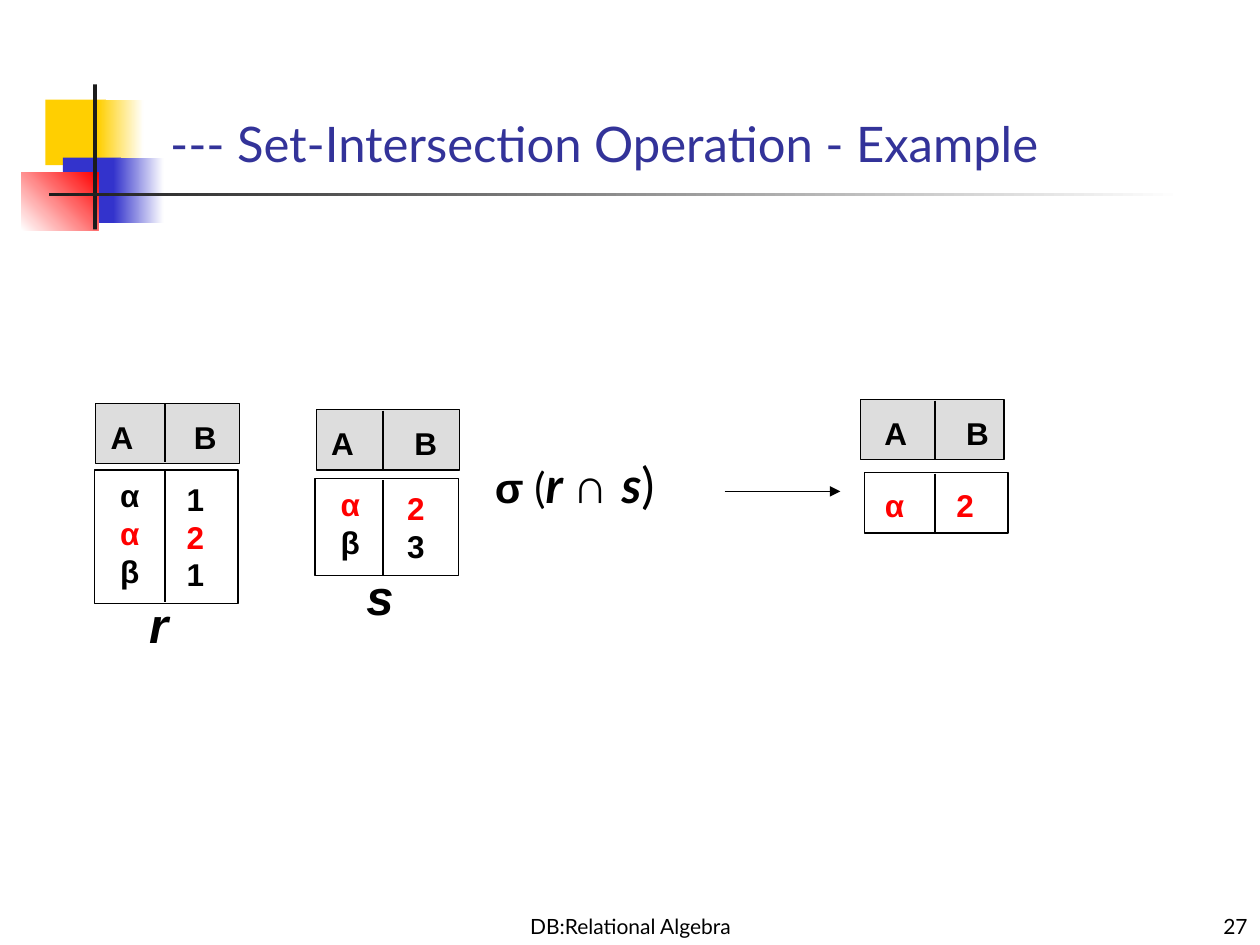
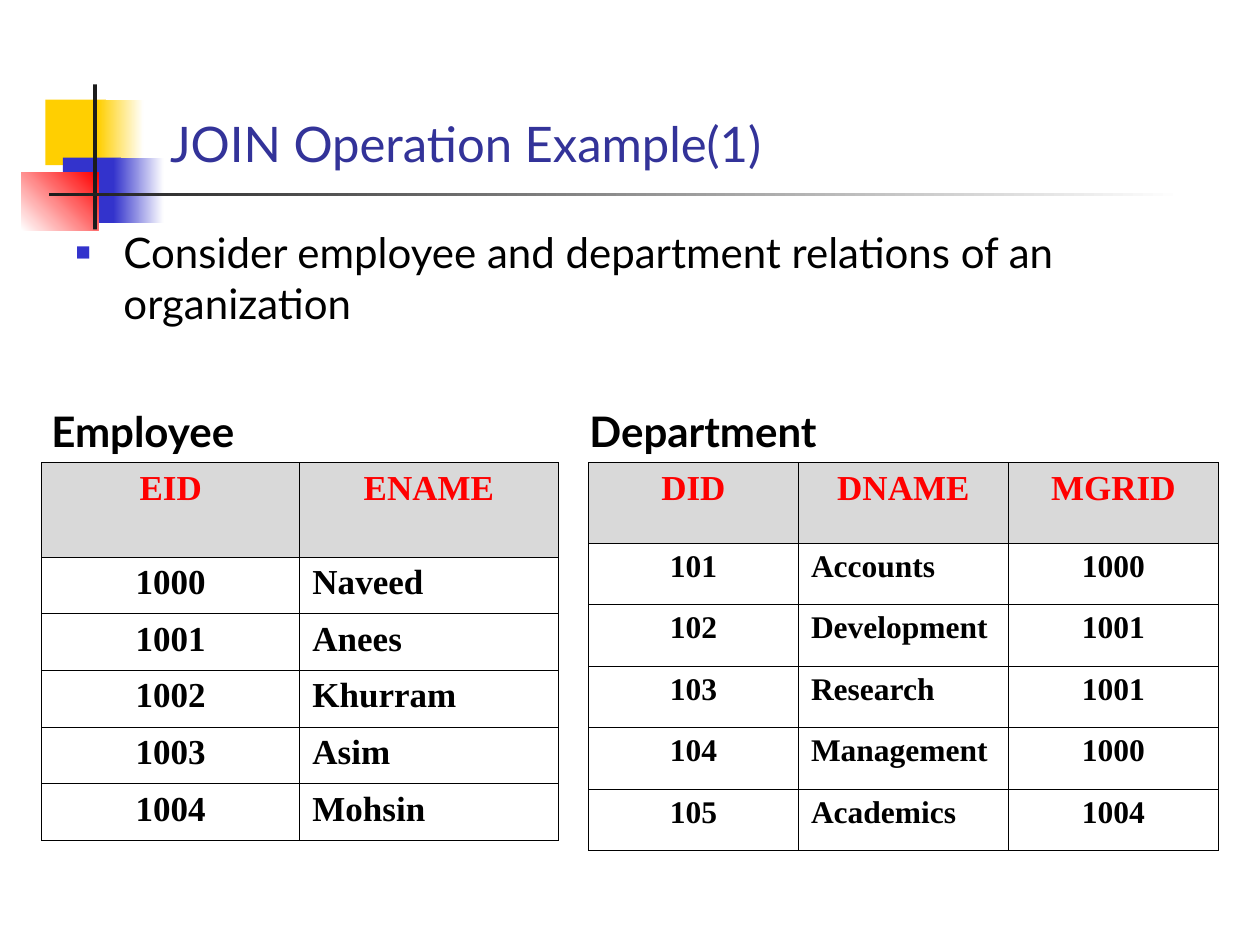
from dataclasses import dataclass

from lxml.etree import SubElement
from pptx import Presentation
from pptx.dml.color import RGBColor
from pptx.enum.shapes import MSO_CONNECTOR, MSO_SHAPE
from pptx.enum.text import MSO_ANCHOR, MSO_AUTO_SIZE, PP_ALIGN
from pptx.oxml.ns import qn
from pptx.util import Inches, Pt


@dataclass(frozen=True)
class Theme:
    white: str = "FFFFFF"
    black: str = "000000"
    ink: str = "1C1C1C"
    gold: str = "FFCF01"
    blue: str = "3333CC"
    red: str = "FF0000"
    title: str = "333399"
    label: str = "DDDDDD"
    head: str = "D9D9D9"
    sans: str = "Lato"
    math: str = "Arial"
    serif: str = "Times New Roman"
    big: int = 28
    body: int = 24
    cell: int = 20
    small: int = 18
    foot: int = 12
    rule: float = 0.75
    grid: float = 0.45


T = Theme()
CENTER = PP_ALIGN.CENTER


def rgb(code):
    return RGBColor.from_string(code)


def inch(*sizes):
    return [Inches(size) for size in sizes]


def style(font, face, size, color=T.black, bold=False, italic=False):
    font.name, font.size = face, Pt(size)
    font.bold, font.italic = bold, italic
    font.color.rgb = rgb(color)


def rect(slide, box, fill, edge=None):
    shape = slide.shapes.add_shape(MSO_SHAPE.RECTANGLE, *inch(*box))
    shape.shadow.inherit = False
    shape.fill.solid()
    shape.fill.fore_color.rgb = rgb(fill)
    if edge:
        shape.line.color.rgb = rgb(edge)
        shape.line.width = Pt(T.rule)
    else:
        shape.line.fill.background()
    return shape


def fade(slide, box, start, end, angle=0):
    """Add a rectangle filled with a two-colour gradient."""
    shape = rect(slide, box, start)
    shape.fill.gradient()
    shape.fill.gradient_angle = angle
    for stop, color in zip(shape.fill.gradient_stops, (start, end)):
        stop.color.rgb = rgb(color)
    return shape


def line(slide, start, end, arrow=False):
    link = slide.shapes.add_connector(
        MSO_CONNECTOR.STRAIGHT, *inch(*start, *end))
    link.line.color.rgb = rgb(T.black)
    link.line.width = Pt(T.rule)
    props = link.element.spPr
    if arrow:
        SubElement(props.find(qn("a:ln")), qn("a:tailEnd"), type="triangle")
    SubElement(props, qn("a:effectLst"))


def text(slide, box, rows, face, size, align=PP_ALIGN.LEFT,
         anchor=MSO_ANCHOR.TOP, wrap=False, **look):
    """Add a text box; each row is a string or a (string, colour) pair."""
    frame = slide.shapes.add_textbox(*inch(*box)).text_frame
    frame.word_wrap, frame.vertical_anchor = wrap, anchor
    for i, row in enumerate(rows):
        words, color = (row, T.black) if isinstance(row, str) else row
        para = frame.add_paragraph() if i else frame.paragraphs[0]
        para.text, para.alignment = words, align
        style(para.font, face, size, color, **look)


def brand(slide, master):
    """Build the corner squares and title rule, then move them to the master."""
    parts = [
        rect(slide, (0.36, 0.79, 0.48, 0.52), T.gold),
        fade(slide, (0.78, 0.79, 0.36, 0.52), T.gold, T.white),
        rect(slide, (0.5, 1.25, 0.46, 0.52), T.blue),
        fade(slide, (0.9, 1.25, 0.4, 0.52), T.blue, T.white),
        fade(slide, (0.17, 1.37, 0.61, 0.46), T.white, T.red, 45),
        rect(slide, (0.74, 0.67, 0.03, 1.15), T.ink),
        fade(slide, (0.39, 1.53, 9, 0.03), T.ink, T.white),
    ]
    tree = master.shapes.element
    for i, part in enumerate(parts):
        tree.insert(2 + i, part.element)


def fill_holder(holder, box, words, size, color, anchor):
    holder.left, holder.top, holder.width, holder.height = inch(*box)
    frame = holder.text_frame
    frame.text = words
    frame.word_wrap, frame.vertical_anchor = True, anchor
    frame.auto_size = MSO_AUTO_SIZE.NONE
    para = frame.paragraphs[0]
    para.alignment = PP_ALIGN.LEFT
    para.space_before = Pt(0)
    return para, lambda: style(para.font, T.sans, size, color)


def head(slide, words):
    _, dress = fill_holder(slide.shapes.title, (1.25, 0.75, 8.52, 0.67),
                           words, T.big, T.title, MSO_ANCHOR.BOTTOM)
    dress()


def lead(slide, words):
    """Fill the body placeholder with one square-bulleted line."""
    para, dress = fill_holder(slide.placeholders[1], (0.5, 1.75, 9, 1.17),
                              words, T.body, T.black, MSO_ANCHOR.TOP)
    props = para._p.get_or_add_pPr()
    props.set("marL", str(Inches(0.38)))
    props.set("indent", str(-Inches(0.38)))
    tint = SubElement(props, qn("a:buClr"))
    SubElement(tint, qn("a:srgbClr"), val=T.blue)
    SubElement(props, qn("a:buSzPct"), val="60000")
    SubElement(props, qn("a:buFont"), typeface=T.math)
    SubElement(props, qn("a:buChar"), char="■")
    dress()


def footer(slide, words, number):
    look = dict(face=T.sans, size=T.foot, anchor=MSO_ANCHOR.BOTTOM, wrap=True)
    text(slide, (3.42, 7.08, 3.17, 0.42), [words], align=CENTER, **look)
    text(slide, (7.92, 7.08, 2.08, 0.42), [number],
         align=PP_ALIGN.RIGHT, **look)


@dataclass
class Relation:
    """A two-column relation; heads, cols and split are offsets from left."""
    left: float
    top: float
    body: tuple  # left, top, height of the box of values
    values: tuple
    name: str = ""
    heads: tuple = (0.2, 0.86)
    cols: tuple = (0.27, 0.79)
    drops: tuple = (0, 0.03)
    split: float = 0.55


def relation(slide, rel):
    wide, high, col = 1.14, 0.48, 0.36
    left, top, tall = rel.body
    bold = dict(face=T.math, align=CENTER, bold=True)
    mid = rel.left + rel.split
    rect(slide, (rel.left, rel.top, wide, high), T.label, T.black)
    rect(slide, (left, top, wide, tall), T.white, T.black)
    for y, depth in ((rel.top, high), (top, tall)):
        line(slide, (mid, y + 0.01), (mid, y + depth - 0.01))
    for label, x in zip("AB", rel.heads):
        text(slide, (rel.left + x - col / 2, rel.top + 0.07, col, 0.4),
             [label], size=T.small, **bold)
    for rows, x, drop in zip(rel.values, rel.cols, rel.drops):
        text(slide, (rel.left + x - col / 2, top + drop, col,
                     0.1 + 0.3 * len(rows)), rows, size=T.small, **bold)
    if rel.name:
        text(slide, (rel.left + 0.3, top + tall - 0.12, 0.4, 0.57),
             [rel.name], size=T.big, italic=True, **bold)


def formula(slide, box):
    frame = slide.shapes.add_textbox(*inch(*box)).text_frame
    frame.word_wrap = True
    for words, face, size, bold, italic in (
            ("σ", T.math, T.body, True, False),
            (" (", T.sans, T.body, False, False),
            ("r ", T.sans, T.big, True, True),
            ("∩ ", T.math, T.big, True, False),
            ("s", T.sans, T.big, True, True),
            (")", T.sans, T.big, False, False)):
        run = frame.paragraphs[0].add_run()
        run.text = words
        style(run.font, face, size, bold=bold, italic=italic)


def border(cell):
    props = cell._tc.get_or_add_tcPr()
    for side in ("a:lnL", "a:lnR", "a:lnT", "a:lnB"):
        edge = SubElement(props, qn(side), w=str(Pt(T.grid)))
        paint = SubElement(edge, qn("a:solidFill"))
        SubElement(paint, qn("a:srgbClr"), val=T.black)


def grid(slide, box, name, shift, rows, size, first):
    """Add a captioned table whose first row is `first` inches high."""
    left, top, width, height = box
    text(slide, (left - shift, top - 0.5, 2, 0.5), [name], T.sans, T.body,
         anchor=MSO_ANCHOR.MIDDLE, bold=True)
    count = len(rows[0])
    table = slide.shapes.add_table(len(rows), count, *inch(*box)).table
    table.first_row = table.horz_banding = False
    for col in table.columns:
        col.width = Inches(width / count)
    for r, row in enumerate(rows):
        table.rows[r].height = Inches(
            (height - first) / (len(rows) - 1) if r else first)
        for c, words in enumerate(row):
            cell = table.cell(r, c)
            border(cell)
            if r:
                cell.fill.background()
            else:
                cell.fill.solid()
                cell.fill.fore_color.rgb = rgb(T.head)
            para = cell.text_frame.paragraphs[0]
            para.text = words
            para.alignment = PP_ALIGN.LEFT if r and c == 1 else CENTER
            style(para.font, T.serif, size if r else T.cell,
                  T.black if r else T.red, bold=True)


def overlap(slide):
    """Fill the set-intersection slide."""
    alpha, two = ("α", T.red), ("2", T.red)
    head(slide, "--- Set-Intersection Operation - Example")
    relation(slide, Relation(0.76, 3.2, (0.75, 3.73, 1.06),
                             (["α", alpha, "β"], ["1", two, "1"]), "r"))
    relation(slide, Relation(2.51, 3.25, (2.5, 3.8, 0.77),
                             ([alpha, "β"], [two, "3"]), "s", split=0.53))
    relation(slide, Relation(6.83, 3.17, (6.86, 3.75, 0.48),
                             ([alpha], [two]), heads=(0.27, 0.92),
                             cols=(0.27, 0.83), drops=(0.06, 0.06),
                             split=0.59))
    formula(slide, (3.83, 3.56, 1.83, 0.57))
    line(slide, (5.75, 3.9), (6.67, 3.9), arrow=True)
    footer(slide, "DB:Relational Algebra", "27")


def join(slide):
    head(slide, "JOIN Operation Example(1)")
    lead(slide, "Consider employee and department relations of an organization")
    grid(slide, (0.33, 3.67, 4.1, 3), "Employee", 0.02, [
        ("EID", "ENAME"),
        ("1000", "Naveed"),
        ("1001", "Anees"),
        ("1002", "Khurram"),
        ("1003", "Asim"),
        ("1004", "Mohsin"),
    ], T.cell, 0.75)
    grid(slide, (4.67, 3.67, 5, 3.08), "Department", 0.09, [
        ("DID", "DNAME", "MGRID"),
        ("101", "Accounts", "1000"),
        ("102", "Development", "1001"),
        ("103", "Research", "1001"),
        ("104", "Management", "1000"),
        ("105", "Academics", "1004"),
    ], T.small, 0.64)


def main():
    deck = Presentation()
    deck.slide_width, deck.slide_height = inch(10, 7.5)
    plain, listed = deck.slide_layouts[5], deck.slide_layouts[1]
    first = deck.slides.add_slide(plain)
    brand(first, deck.slide_master)
    overlap(first)
    join(deck.slides.add_slide(listed))
    deck.save("out.pptx")


if __name__ == "__main__":
    main()
